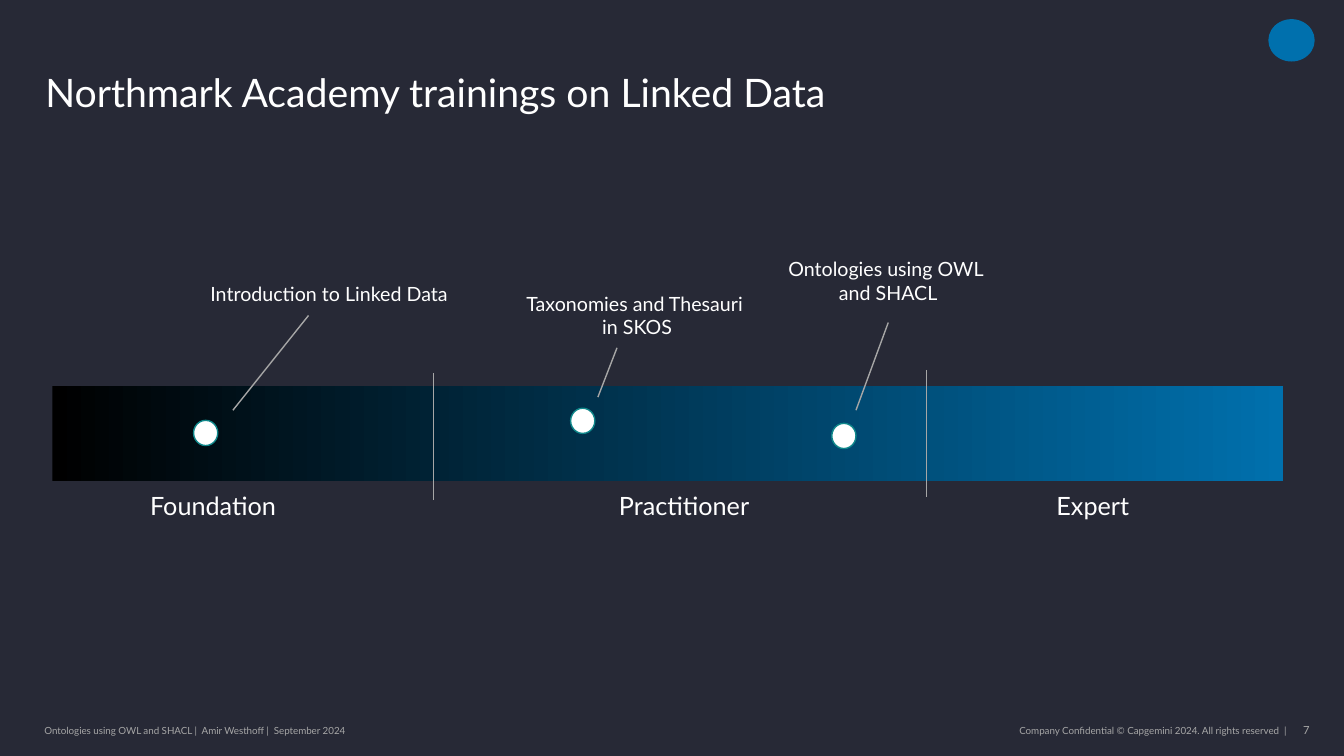
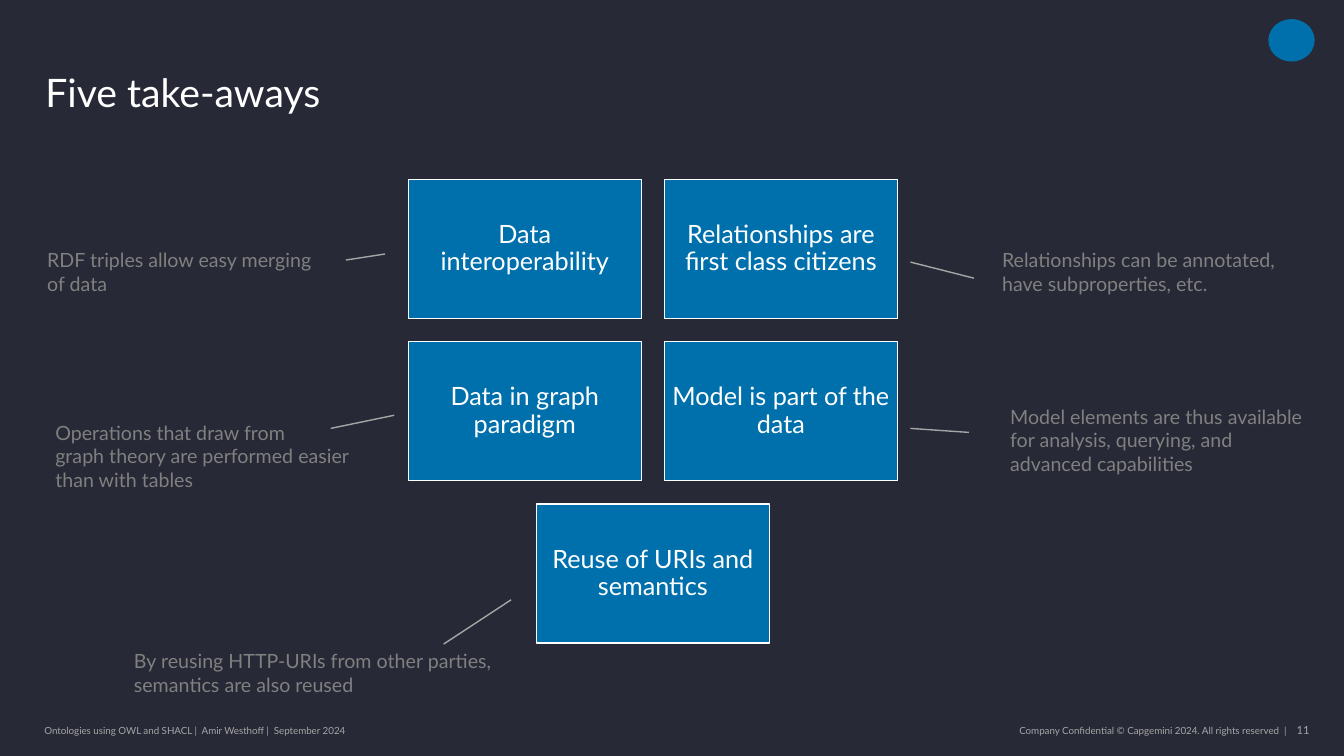
from lxml.etree import SubElement
from pptx import Presentation
from pptx.dml.color import RGBColor
from pptx.enum.shapes import MSO_CONNECTOR as Connector, MSO_SHAPE as Shape
from pptx.enum.text import MSO_ANCHOR as Anchor, MSO_AUTO_SIZE as AutoSize, PP_ALIGN as Align
from pptx.oxml.ns import qn
from pptx.util import Inches, Pt

NAVY, BLUE, BLACK, WHITE = "272936", "0070AD", "000000", "FFFFFF"
TEAL, SILVER, GRAY = "0F878A", "A6A6A6", "808080"
FONT = "Lato"
LABEL_MARGINS = (0.1, 0.05, 0.1, 0.05)
NO_MARGINS = (0, 0, 0, 0)


def rgb(value):
    return RGBColor.from_string(value)


def set_all(target, values):
    for name, value in values.items():
        setattr(target, name, value)


class Deck:
    """Holds the shared style and the slide being filled."""

    def __init__(self):
        self.presentation = Presentation()
        self.presentation.slide_width = Inches(13.33)
        self.presentation.slide_height = Inches(7.5)
        background = self.presentation.slide_master.background.fill
        background.solid()
        background.fore_color.rgb = rgb(NAVY)
        self.slide = None

    def new_slide(self, title, number):
        layout = self.presentation.slide_layouts[5]
        self.slide = self.presentation.slides.add_slide(layout)
        # Title
        shape = self.slide.shapes.title
        set_all(shape, {"left": Inches(0.45), "top": Inches(0.28),
                        "width": Inches(12.04), "height": Inches(0.87)})
        self.fill_text(shape, [title], 28, anchor=Anchor.BOTTOM, spacing=0.9)
        # Corner mark
        self.shape(Shape.OVAL, 12.58, 0.19, 0.46, 0.42, BLUE)
        # Footer
        self.text("Ontologies using OWL and SHACL |  Amir Westhoff |  September 2024",
                  0.44, 7.13, 3.73, 0.24, 7, SILVER, margins=NO_MARGINS)
        self.text("Company Confidential © Capgemini 2024. All rights reserved  |",
                  7.8, 7.13, 4.96, 0.24, 7, SILVER, margins=NO_MARGINS, align=Align.RIGHT)
        self.text(str(number), 12.74, 7.13, 0.25, 0.24, 8, SILVER,
                  margins=(0, 0.05, 0, 0.05), align=Align.RIGHT, anchor=Anchor.TOP)

    def fill_text(self, shape, paragraphs, size, color=WHITE, margins=NO_MARGINS,
                  align=Align.LEFT, anchor=Anchor.MIDDLE, spacing=1.0, wrap=True):
        frame = shape.text_frame
        left, top, right, bottom = map(Inches, margins)
        set_all(frame, {
            "margin_left": left, "margin_top": top,
            "margin_right": right, "margin_bottom": bottom,
            "vertical_anchor": anchor, "word_wrap": wrap,
            "auto_size": AutoSize.NONE if wrap else AutoSize.SHAPE_TO_FIT_TEXT,
        })
        for index, content in enumerate(paragraphs):
            paragraph = frame.add_paragraph() if index else frame.paragraphs[0]
            paragraph.text = content
            set_all(paragraph, {"alignment": align, "line_spacing": spacing})
            set_all(paragraph.font, {"name": FONT, "size": Pt(size), "bold": False})
            paragraph.font.color.rgb = rgb(color)

    def text(self, content, left, top, width, height, size, color=WHITE, **style):
        box = self.slide.shapes.add_textbox(*map(Inches, (left, top, width, height)))
        paragraphs = [content] if isinstance(content, str) else content
        self.fill_text(box, paragraphs, size, color, **style)

    def label(self, content, left, top, width, height, size=14, color=WHITE,
              align=Align.LEFT):
        self.text(content, left, top, width, height, size, color,
                  margins=LABEL_MARGINS, align=align, wrap=False)

    def shape(self, kind, left, top, width, height, fill, line=None):
        shape = self.slide.shapes.add_shape(kind, *map(Inches, (left, top, width, height)))
        shape.shadow.inherit = False
        shape.fill.solid()
        shape.fill.fore_color.rgb = rgb(fill)
        if line:
            shape.line.color.rgb = rgb(line)
            shape.line.width = Pt(1)
        else:
            shape.line.fill.background()
        return shape

    def gradient_bar(self, left, top, width, height, colors):
        bar = self.shape(Shape.RECTANGLE, left, top, width, height, colors[0])
        bar.fill.gradient()
        bar.fill.gradient_angle = 0
        for position, (stop, color) in enumerate(zip(bar.fill.gradient_stops, colors)):
            stop.color.rgb = rgb(color)
            stop.position = position

    def card(self, content, left, top, width, height):
        card = self.shape(Shape.RECTANGLE, left, top, width, height, BLUE, WHITE)
        self.fill_text(card, [content], 18, margins=(0.07,) * 4,
                       align=Align.CENTER, spacing=0.9)

    def line(self, *ends):
        connector = self.slide.shapes.add_connector(Connector.STRAIGHT, *map(Inches, ends))
        connector.line.color.rgb = rgb(SILVER)
        connector.line.width = Pt(1)
        SubElement(connector._element.spPr, qn("a:effectLst"))


def build_trainings(deck):
    deck.new_slide("Northmark Academy trainings on Linked Data", 7)
    # Level scale with dividers
    deck.gradient_bar(0.52, 3.83, 12.21, 0.94, (BLACK, BLUE))
    for left, top in ((4.3, 3.7), (9.19, 3.67)):
        deck.line(left, top, left, top + 1.26)
    for level, left, width in (("Foundation", 1.39, 1.51),
                               ("Practitioner", 6.04, 1.56),
                               ("Expert", 10.38, 0.96)):
        deck.label(level, left, 4.81, width, 0.41, size=18)
    # Trainings: label and its box, dot position, leader line
    trainings = (
        ("Introduction to Linked Data", (1.94, 2.74, 2.65, 0.34),
         (1.92, 4.17), (3.06, 3.13, 2.31, 4.07)),
        ("Taxonomies and Thesauri \nin SKOS", (5.07, 2.84, 2.5, 0.57),
         (5.66, 4.05), (6.12, 3.45, 5.93, 3.94)),
        ("Ontologies using OWL \nand SHACL", (7.69, 2.5, 2.24, 0.57),
         (8.25, 4.2), (8.81, 3.2, 8.49, 4.07)),
    )
    for name, box, dot, leader in trainings:
        deck.label(name, *box, align=Align.CENTER)
        deck.shape(Shape.OVAL, *dot, 0.24, 0.25, WHITE, TEAL)
        deck.line(*leader)


def build_takeaways(deck):
    deck.new_slide("Five take-aways", 11)
    # Cards: text, column, row; the last one is centred below the pairs
    cards = (
        ("Data interoperability", 0, 0),
        ("Relationships are first class citizens", 1, 0),
        ("Data in graph paradigm", 0, 1),
        ("Model is part of the data", 1, 1),
        ("Reuse of URIs and semantics", 0.5, 2),
    )
    width, height, gap = 2.31, 1.38, 0.23
    for content, column, row in cards:
        deck.card(content, 4.05 + column * (width + gap),
                  1.78 + row * (height + gap), width, height)
    # Remarks: paragraphs, box, leader line
    remarks = (
        (["RDF triples allow easy merging \nof data"],
         (0.37, 2.41, 3.07, 0.57), (3.43, 2.58, 3.82, 2.52)),
        (["Relationships can be annotated, \nhave subproperties, etc."],
         (9.84, 2.41, 3.09, 0.57), (9.66, 2.76, 9.03, 2.6)),
        (["Operations that draw from \ngraph theory are performed easier \nthan with tables"],
         (0.45, 4.12, 3.32, 0.81), (3.28, 4.25, 3.91, 4.12)),
        (["Model elements are thus available",
          "for analysis, querying, and \nadvanced capabilities"],
         (9.92, 3.96, 3.25, 0.81), (9.61, 4.29, 9.03, 4.25)),
        (["By reusing HTTP-URIs from other parties,", "semantics are also reused"],
         (1.23, 6.39, 3.84, 0.57), (4.4, 6.39, 5.07, 5.95)),
    )
    for paragraphs, box, leader in remarks:
        deck.label(paragraphs, *box, color=GRAY)
        deck.line(*leader)


def main():
    deck = Deck()
    build_trainings(deck)
    build_takeaways(deck)
    deck.presentation.save("out.pptx")


if __name__ == "__main__":
    main()
